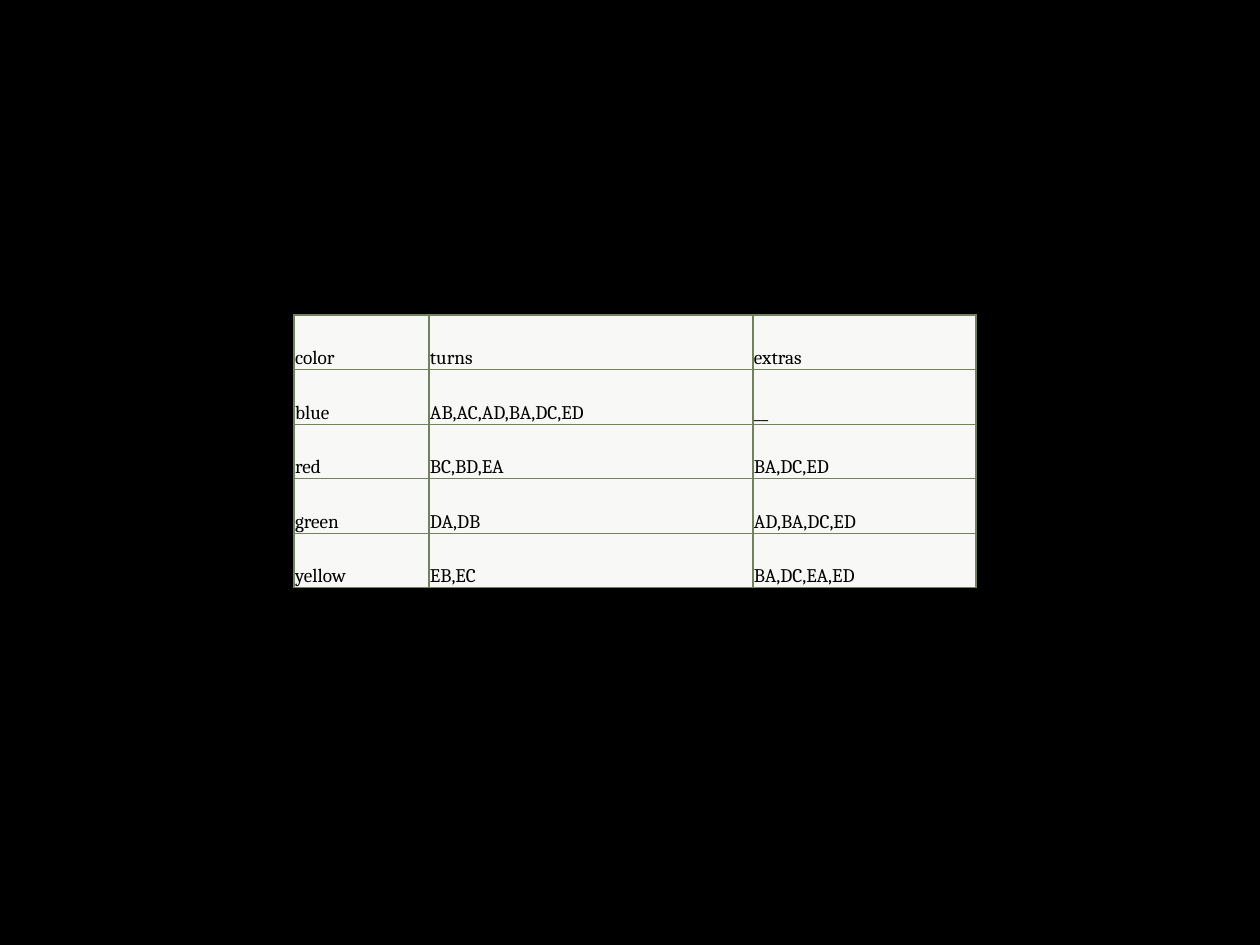
import lxml.etree
import pptx
import pptx.dml.color
import pptx.enum.text
import pptx.oxml.ns
import pptx.util

PX = 914400 / 126
COLORS = {"background": "000000", "cell": "F8F8F6", "border": "72825E", "text": "000000"}
FONT = "Cambria"
COLUMN_WIDTHS = [135, 324, 223]
TURN_ROWS = [
    ["color", "turns", "extras"],
    ["blue", "AB,AC,AD,BA,DC,ED", "__"],
    ["red", "BC,BD,EA", "BA,DC,ED"],
    ["green", "DA,DB", "AD,BA,DC,ED"],
    ["yellow", "EB,EC", "BA,DC,EA,ED"],
]


def px(length):
    return pptx.util.Emu(round(length * PX))


def rgb(name):
    return pptx.dml.color.RGBColor.from_string(COLORS[name])


def add_borders(cell):
    properties = cell._tc.get_or_add_tcPr()
    for side in ("a:lnL", "a:lnR", "a:lnT", "a:lnB"):
        line = lxml.etree.SubElement(
            properties, pptx.oxml.ns.qn(side), w=str(pptx.util.Pt(0.75)))
        fill = lxml.etree.SubElement(line, pptx.oxml.ns.qn("a:solidFill"))
        lxml.etree.SubElement(fill, pptx.oxml.ns.qn("a:srgbClr"), val=COLORS["border"])


def format_cell(cell, text):
    # Borders come before the fill in the cell properties
    add_borders(cell)
    cell.fill.solid()
    cell.fill.fore_color.rgb = rgb("cell")
    cell.vertical_anchor = pptx.enum.text.MSO_ANCHOR.BOTTOM
    cell.margin_left = cell.margin_right = cell.margin_top = px(1)
    cell.margin_bottom = 0
    cell.text_frame.text = text
    font = cell.text_frame.paragraphs[0].runs[0].font
    font.name = FONT
    font.size = pptx.util.Pt(11)
    font.color.rgb = rgb("text")


def add_turn_table(slide, left, top, width, height):
    shape = slide.shapes.add_table(
        len(TURN_ROWS), len(COLUMN_WIDTHS), px(left), px(top), px(width), px(height))
    table = shape.table
    table.first_row = False
    table.horz_banding = False

    # Columns share the width in proportion, rows share the height equally
    for column, share in zip(table.columns, COLUMN_WIDTHS):
        column.width = px(width * share / sum(COLUMN_WIDTHS))
    for row, texts in zip(table.rows, TURN_ROWS):
        row.height = px(height / len(TURN_ROWS))
        for cell, text in zip(row.cells, texts):
            format_cell(cell, text)


def main():
    presentation = pptx.Presentation()
    presentation.slide_width = px(1260)
    presentation.slide_height = px(945)
    slide = presentation.slides.add_slide(presentation.slide_layouts[6])

    # Black background
    slide.background.fill.solid()
    slide.background.fill.fore_color.rgb = rgb("background")

    # Table of turns by color
    add_turn_table(slide, 294, 315, 682, 273)
    presentation.save("out.pptx")


if __name__ == "__main__":
    main()
